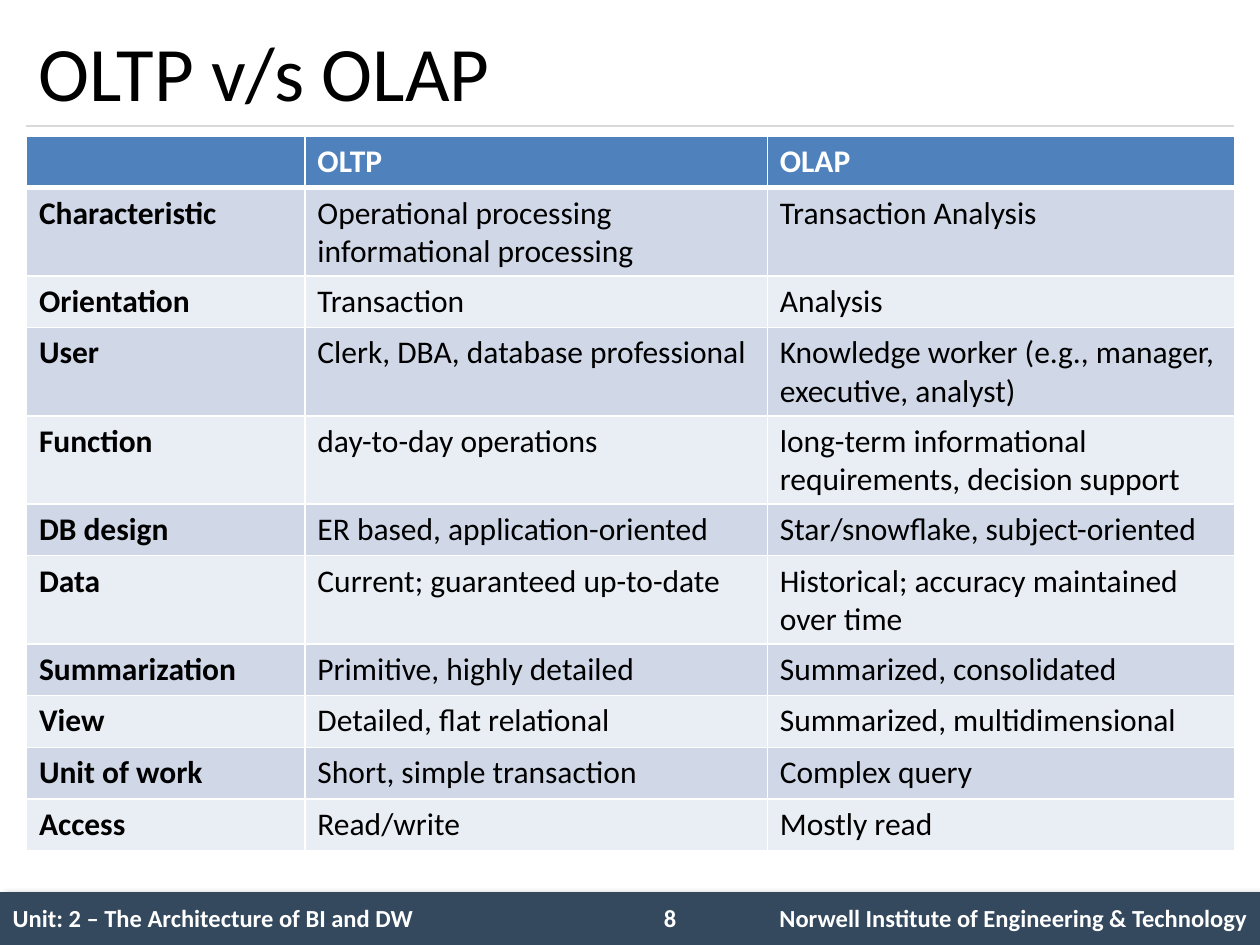
from lxml import etree
from pptx import Presentation
from pptx.dml.color import RGBColor
from pptx.enum.shapes import MSO_CONNECTOR, MSO_SHAPE
from pptx.enum.text import MSO_ANCHOR, PP_ALIGN
from pptx.oxml import parse_xml
from pptx.oxml.ns import nsdecls, qn
from pptx.util import Inches, Pt

RECTANGLE = MSO_SHAPE.RECTANGLE
STRAIGHT = MSO_CONNECTOR.STRAIGHT
TOP, MIDDLE = MSO_ANCHOR.TOP, MSO_ANCHOR.MIDDLE
LEFT, RIGHT = PP_ALIGN.LEFT, PP_ALIGN.RIGHT

WHITE, BLACK = "FFFFFF", "000000"
NAVY, RULE_GREY = "34495E", "D9D9D9"
HEADER_BLUE, BANDS = "4F81BD", ("D0D8E8", "E9EDF4")

FOOTER = ["Unit: 2 – The Architecture of BI and DW", "",
          "Norwell Institute of Engineering & Technology"]
COMPARISON = [
    ["", "OLTP", "OLAP"],
    ["Characteristic", "Operational processing informational processing",
     "Transaction Analysis"],
    ["Orientation", "Transaction", "Analysis"],
    ["User", "Clerk, DBA, database professional",
     "Knowledge worker (e.g., manager, executive, analyst)"],
    ["Function", "day-to-day operations",
     "long-term informational requirements, decision support"],
    ["DB design", "ER based, application-oriented", "Star/snowflake, subject-oriented"],
    ["Data", "Current; guaranteed up-to-date",
     "Historical; accuracy maintained\nover time"],
    ["Summarization", "Primitive, highly detailed", "Summarized, consolidated"],
    ["View", "Detailed, flat relational", "Summarized, multidimensional"],
    ["Unit of work", "Short, simple transaction", "Complex query"],
    ["Access", "Read/write", "Mostly read"],
]


def color(hex_string):
    return RGBColor.from_string(hex_string)


class SlideBuilder:
    font_name = "Calibri"

    def __init__(self, slide):
        self.slide = slide
        self.shapes = slide.shapes

    def set_text(self, text_frame, text, size, text_color, bold=False, align=LEFT):
        text_frame.text = text
        for paragraph in text_frame.paragraphs:
            paragraph.alignment = align
            for run in paragraph.runs:
                run.font.name = self.font_name
                run.font.size = Pt(size)
                run.font.bold = bold
                run.font.color.rgb = color(text_color)

    def text(self, box, text, size, text_color, bold=False, anchor=TOP):
        shape = self.shapes.add_textbox(*map(Inches, box))
        shape.text_frame.word_wrap = True
        shape.text_frame.vertical_anchor = anchor
        self.set_text(shape.text_frame, text, size, text_color, bold)

    def shadowed_bar(self, box, fill):
        shape = self.shapes.add_shape(RECTANGLE, *map(Inches, box))
        shape.fill.solid()
        shape.fill.fore_color.rgb = color(fill)
        shape.line.fill.background()
        shape.shadow.inherit = False
        effects = shape._element.spPr.find(qn("a:effectLst"))
        effects.append(parse_xml(
            f'<a:outerShdw {nsdecls("a")} blurRad="{Pt(4)}" dist="{Pt(3)}" dir="2700000">'
            f'<a:srgbClr val="{BLACK}"><a:alpha val="40000"/></a:srgbClr></a:outerShdw>'))

    def line(self, start, end, line_color, width):
        connector = self.shapes.add_connector(STRAIGHT, *map(Inches, start + end))
        connector.line.color.rgb = color(line_color)
        connector.line.width = Pt(width)
        etree.SubElement(connector._element.spPr, qn("a:effectLst"))

    def table(self, left, top, column_widths, row_height, row_count):
        frame = self.shapes.add_table(
            row_count, len(column_widths), Inches(left), Inches(top),
            Inches(sum(column_widths)), Inches(row_height * row_count))
        for column, width in zip(frame.table.columns, column_widths):
            column.width = Inches(width)
        return frame.table

    def cell(self, cell, text, size, text_color, bold, fill=None,
             borders=(0, 0, 0, 0), align=LEFT, anchor=TOP):
        """Fill one cell; borders are point widths for left, right, top, bottom."""
        properties = cell._tc.get_or_add_tcPr()
        for side, width in zip("LRTB", borders):
            paint = (f'<a:solidFill><a:srgbClr val="{WHITE}"/></a:solidFill>'
                     if width else "<a:noFill/>")
            properties.append(parse_xml(
                f'<a:ln{side} {nsdecls("a")} w="{Pt(width)}">{paint}</a:ln{side}>'))
        if fill:
            cell.fill.solid()
            cell.fill.fore_color.rgb = color(fill)
        else:
            cell.fill.background()
        cell.vertical_anchor = anchor
        self.set_text(cell.text_frame, text, size, text_color, bold, align)

    def footer(self, texts, page_number):
        self.shadowed_bar((0, 7.08, 10, 0.42), NAVY)
        table = self.table(0, 7.08, (5.08, 0.67, 4.25), 0.43, 1)
        for cell, text, align in zip(table.rows[0].cells, texts, (LEFT, LEFT, RIGHT)):
            self.cell(cell, text, 14, WHITE, True, align=align, anchor=MIDDLE)
        self.text((5.17, 7.12, 0.58, 0.34), page_number, 14, WHITE, bold=True)

    def comparison(self, rows):
        table = self.table(0.21, 1.08, (2.21, 3.67, 3.71), 0.41, len(rows))
        for row_index, texts in enumerate(rows):
            header = row_index == 0
            fill = HEADER_BLUE if header else BANDS[(row_index - 1) % 2]
            borders = (1, 1, 3 if row_index == 1 else 1, 3 if header else 1)
            for column_index, text in enumerate(texts):
                self.cell(table.cell(row_index, column_index), text, 18,
                          WHITE if header else BLACK,
                          header or column_index == 0, fill, borders)


def main():
    presentation = Presentation()
    presentation.slide_width = Inches(10)
    presentation.slide_height = Inches(7.5)
    builder = SlideBuilder(presentation.slides.add_slide(presentation.slide_layouts[6]))
    builder.footer(FOOTER, "8")
    builder.line((0.21, 1), (9.79, 1), RULE_GREY, 0.75)
    builder.text((0.21, 0.12, 9.58, 0.88), "OLTP v/s OLAP", 44, BLACK, anchor=MIDDLE)
    builder.comparison(COMPARISON)
    presentation.save("out.pptx")


if __name__ == "__main__":
    main()
